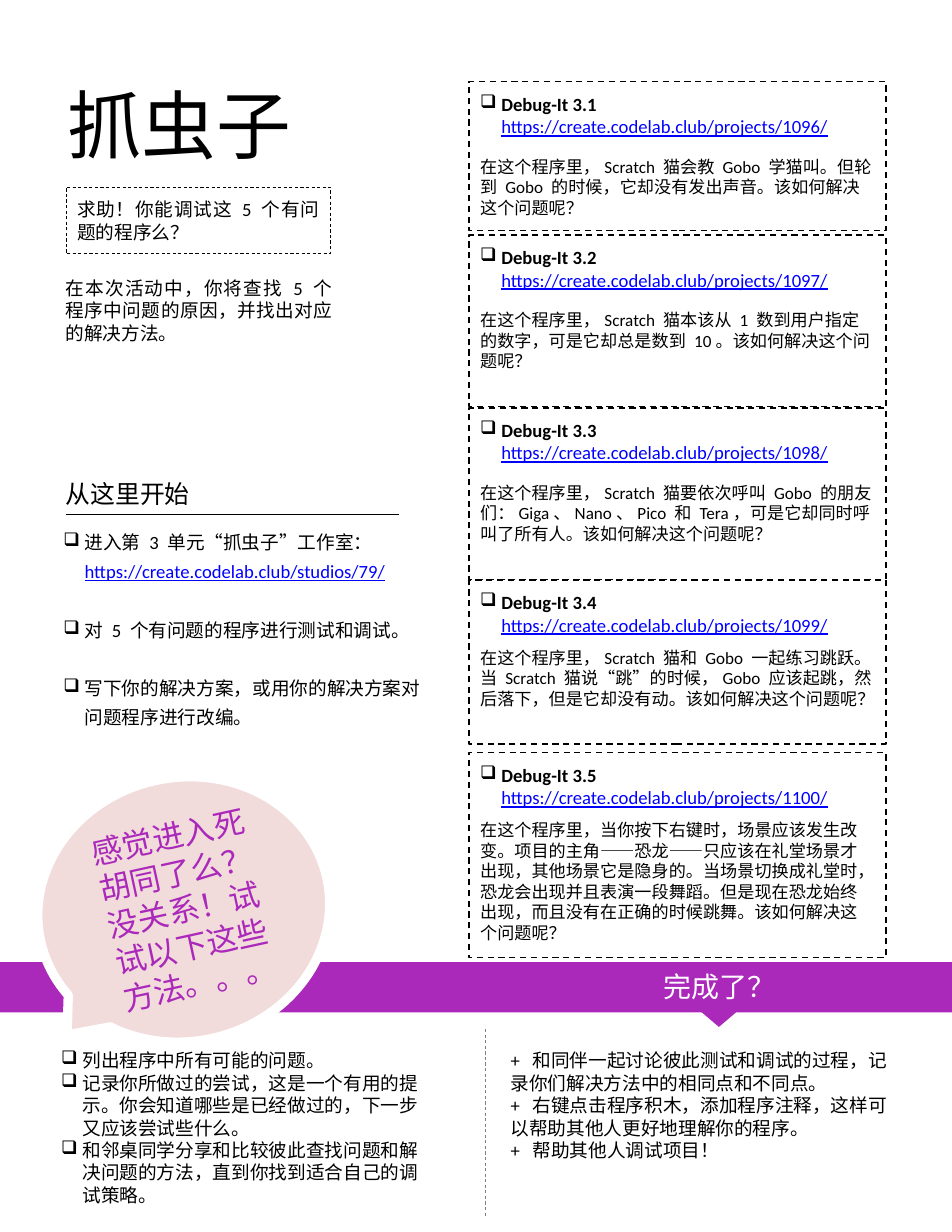
from pptx import Presentation
from pptx.dml.color import RGBColor
from pptx.enum.dml import MSO_LINE
from pptx.enum.shapes import MSO_CONNECTOR, MSO_SHAPE as SHAPE
from pptx.enum.text import MSO_ANCHOR as ANCHOR, MSO_AUTO_SIZE, PP_ALIGN as ALIGN
from pptx.oxml.ns import qn
from pptx.util import Cm, Pt
from lxml.etree import SubElement

THEME = {
    "black": "000000", "white": "FFFFFF", "purple": "AA28BA", "pink": "F2DCDB",
    "link": "0000FF", "gray": "808080",
    "head_font": "Arial Narrow", "body_font": "Calibri",
    "title": 48, "callout": 20, "done": 18, "heading": 16, "body": 12, "card": 11,
}

TITLE = "抓虫子"
QUESTION = "求助！你能调试这 5 个有问题的程序么？"
INTRO = "在本次活动中，你将查找 5 个程序中问题的原因，并找出对应的解决方法。"
START = "从这里开始"
STUDIO = ("进入第 3 单元“抓虫子”工作室：", "https://create.codelab.club/studios/79/")
STEPS = ["对 5 个有问题的程序进行测试和调试。",
         "写下你的解决方案，或用你的解决方案对问题程序进行改编。"]
STUCK = "感觉进入死胡同了么？没关系！试试以下这些方法。。。"
TIPS = [
    "列出程序中所有可能的问题。",
    "记录你所做过的尝试，这是一个有用的提示。你会知道哪些是已经做过的，下一步又应该尝试些什么。",
    "和邻桌同学分享和比较彼此查找问题和解决问题的方法，直到你找到适合自己的调试策略。",
]
DONE = "完成了？"
EXTRAS = [
    "和同伴一起讨论彼此测试和调试的过程，记录你们解决方法中的相同点和不同点。",
    "右键点击程序积木，添加程序注释，这样可以帮助其他人更好地理解你的程序。",
    "帮助其他人调试项目！",
]
CARD_LEFT, CARD_WIDTH, FIRST_PROJECT = 10.64, 9.45, 1096
CARDS = [
    (1.85, 3.38, 12, "在这个程序里，Scratch 猫会教 Gobo 学猫叫。但轮到 Gobo 的时候，它却没有发出声音。该如何解决这个问题呢？"),
    (5.33, 3.89, 12, "在这个程序里，Scratch 猫本该从 1 数到用户指定的数字，可是它却总是数到 10。该如何解决这个问题呢？"),
    (9.25, 3.89, 12, "在这个程序里，Scratch 猫要依次呼叫 Gobo 的朋友们：Giga、Nano、Pico 和 Tera，可是它却同时呼叫了所有人。该如何解决这个问题呢？"),
    (13.16, 3.71, 7, "在这个程序里，Scratch 猫和 Gobo 一起练习跳跃。当 Scratch 猫说“跳”的时候，Gobo 应该起跳，然后落下，但是它却没有动。该如何解决这个问题呢？"),
    (17.07, 4.65, 7, "在这个程序里，当你按下右键时，场景应该发生改变。项目的主角——恐龙——只应该在礼堂场景才出现，其他场景它是隐身的。当场景切换成礼堂时，恐龙会出现并且表演一段舞蹈。但是现在恐龙始终出现，而且没有在正确的时候跳舞。该如何解决这个问题呢？"),
]


def color(name):
    return RGBColor.from_string(THEME[name])


def apply(target, values):
    for key, value in values.items():
        setattr(target, key, value)


def style_line(line, name, width, dashed=False):
    line.color.rgb = color(name)
    line.width = Pt(width)
    if dashed:
        line.dash_style = MSO_LINE.DASH


def prepare(frame, inset=None, anchor=ANCHOR.TOP):
    apply(frame, {"word_wrap": True, "auto_size": MSO_AUTO_SIZE.NONE, "vertical_anchor": anchor})
    if inset:
        apply(frame, {f"margin_{side}": Cm(inset) for side in ("left", "top", "right", "bottom")})
    return frame


def write(frame, text, size="body", ink="black", font="body_font", link=None,
          bold=False, bullet=False, tab=None, **layout):
    first = frame.paragraphs[0]
    paragraph = frame.add_paragraph() if first.runs else first
    properties = paragraph._p.get_or_add_pPr()
    if bullet:
        properties.set("marL", str(Cm(0.48)))
        properties.set("indent", str(-Cm(0.48)))
        SubElement(properties, qn("a:buChar"), char="❑")
    if tab:
        stops = SubElement(properties, qn("a:tabLst"))
        SubElement(stops, qn("a:tab"), pos=str(Cm(tab)), algn="l")
    apply(paragraph, {"alignment": ALIGN.LEFT, **layout})
    parts = [(text, ink, bold, False)]
    if link:
        parts.append((link, "link", False, True))
    for index, (words, shade, heavy, underlined) in enumerate(parts):
        if index:
            paragraph.add_line_break()
        run = paragraph.add_run()
        run.text = words
        apply(run.font, {"size": Pt(THEME[size]), "name": THEME[font],
                         "bold": heavy, "underline": underlined})
        run.font.color.rgb = color(shade)


def add_text(slide, *box):
    return prepare(slide.shapes.add_textbox(*map(Cm, box)).text_frame)


def add_box(slide, kind, box, fill=None):
    shape = slide.shapes.add_shape(kind, *map(Cm, box))
    shape.shadow.inherit = False
    if fill:
        shape.fill.solid()
        shape.fill.fore_color.rgb = color(fill)
    else:
        shape.fill.background()
    shape.line.fill.background()
    return shape


def add_rule(slide, ends, ink, width, dashed=False):
    rule = slide.shapes.add_connector(MSO_CONNECTOR.STRAIGHT, *map(Cm, ends))
    style_line(rule.line, ink, width, dashed)
    SubElement(rule._element.spPr, qn("a:effectLst"))


def add_intro(slide):
    title = slide.shapes.title
    apply(title, dict(zip(("left", "top", "width", "height"), map(Cm, (1.27, 1.65, 7.82, 2.31)))))
    write(prepare(title.text_frame), TITLE, "title", font="head_font")
    question = add_box(slide, SHAPE.RECTANGLE, (1.5, 4.24, 5.99, 1.52))
    style_line(question.line, "black", 0.5, True)
    write(prepare(question.text_frame, 0.25, ANCHOR.MIDDLE), QUESTION, alignment=ALIGN.JUSTIFY)
    write(add_text(slide, 1.24, 6.15, 6.55, 1.8), INTRO, alignment=ALIGN.JUSTIFY)


def add_cards(slide):
    for index, (top, height, gap, problem) in enumerate(CARDS):
        card = add_box(slide, SHAPE.RECTANGLE, (CARD_LEFT, top, CARD_WIDTH, height))
        style_line(card.line, "black", 1, True)
        frame = prepare(card.text_frame, 0.25)
        write(frame, f"Debug-It 3.{index + 1}", bold=True, bullet=True,
              link=f"https://create.codelab.club/projects/{FIRST_PROJECT + index}/")
        write(frame, problem, "card", space_before=Pt(gap))


def add_start(slide):
    steps = add_text(slide, 1.19, 11.76, 8.94, 4.93)
    write(steps, STUDIO[0], link=STUDIO[1], bullet=True, line_spacing=1.3)
    for step in STEPS:
        write(steps, step, bullet=True, line_spacing=1.3, space_before=Pt(19))
    write(add_text(slide, 1.24, 10.72, 8.2, 0.94), START, "heading", font="head_font")
    add_rule(slide, (1.5, 11.66, 9.04, 11.66), "black", 0.75)


def add_footer(slide):
    tips = add_text(slide, 1.14, 23.67, 8.97, 3.84)
    for tip in TIPS:
        write(tips, tip, bullet=True)
    extras = add_text(slide, 11.33, 23.67, 9.19, 2.82)
    for extra in EXTRAS:
        write(extras, f"+\t{extra}", tab=0.5)
    add_rule(slide, (11, 23.34, 11, 27.58), "gray", 0.5, True)
    add_box(slide, SHAPE.RECTANGLE, (0, 21.82, 21.59, 1.14), "purple")
    add_box(slide, SHAPE.DIAMOND, (15.77, 22.38, 1.07, 0.91), "purple")
    write(add_text(slide, 11.02, 21.87, 10.59, 1.02), DONE, "done", "white", alignment=ALIGN.CENTER)

    callout = add_box(slide, SHAPE.OVAL_CALLOUT, (1.17, 17.3, 5.99, 6.65), "pink")
    style_line(callout.line, "white", 6)
    callout.adjustments[0], callout.adjustments[1] = -0.37, 0.48
    callout.rotation = 257.7
    callout._element.spPr.xfrm.set("flipV", "1")
    frame = prepare(callout.text_frame, anchor=ANCHOR.MIDDLE)
    frame._txBody.bodyPr.set("vert", "vert270")
    write(frame, STUCK, "callout", "purple", alignment=ALIGN.CENTER)


def main():
    deck = Presentation()
    apply(deck, {"slide_width": Cm(21.59), "slide_height": Cm(27.94)})
    slide = deck.slides.add_slide(deck.slide_layouts[5])
    for add_part in (add_intro, add_cards, add_start, add_footer):
        add_part(slide)
    deck.save("out.pptx")


if __name__ == "__main__":
    main()
